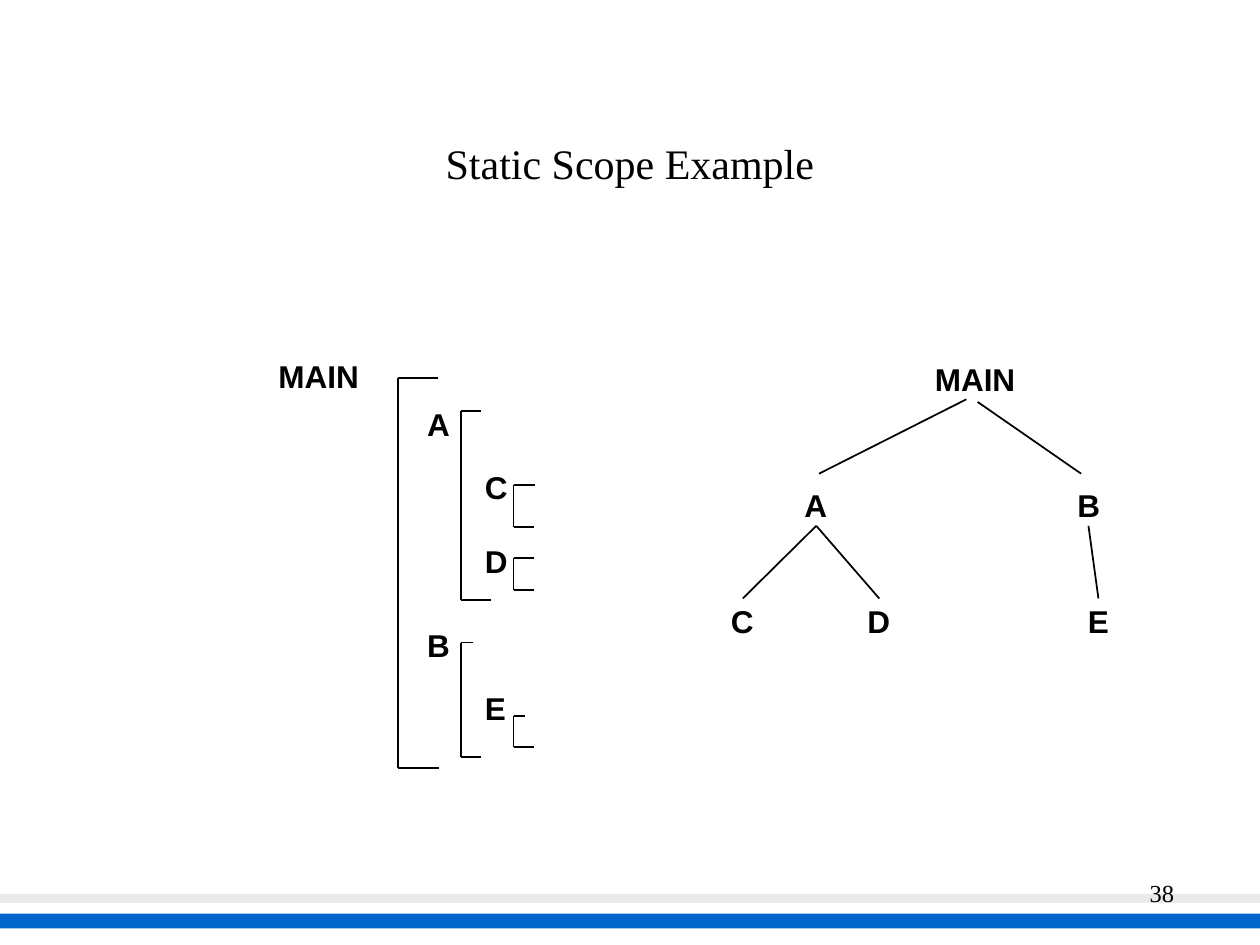
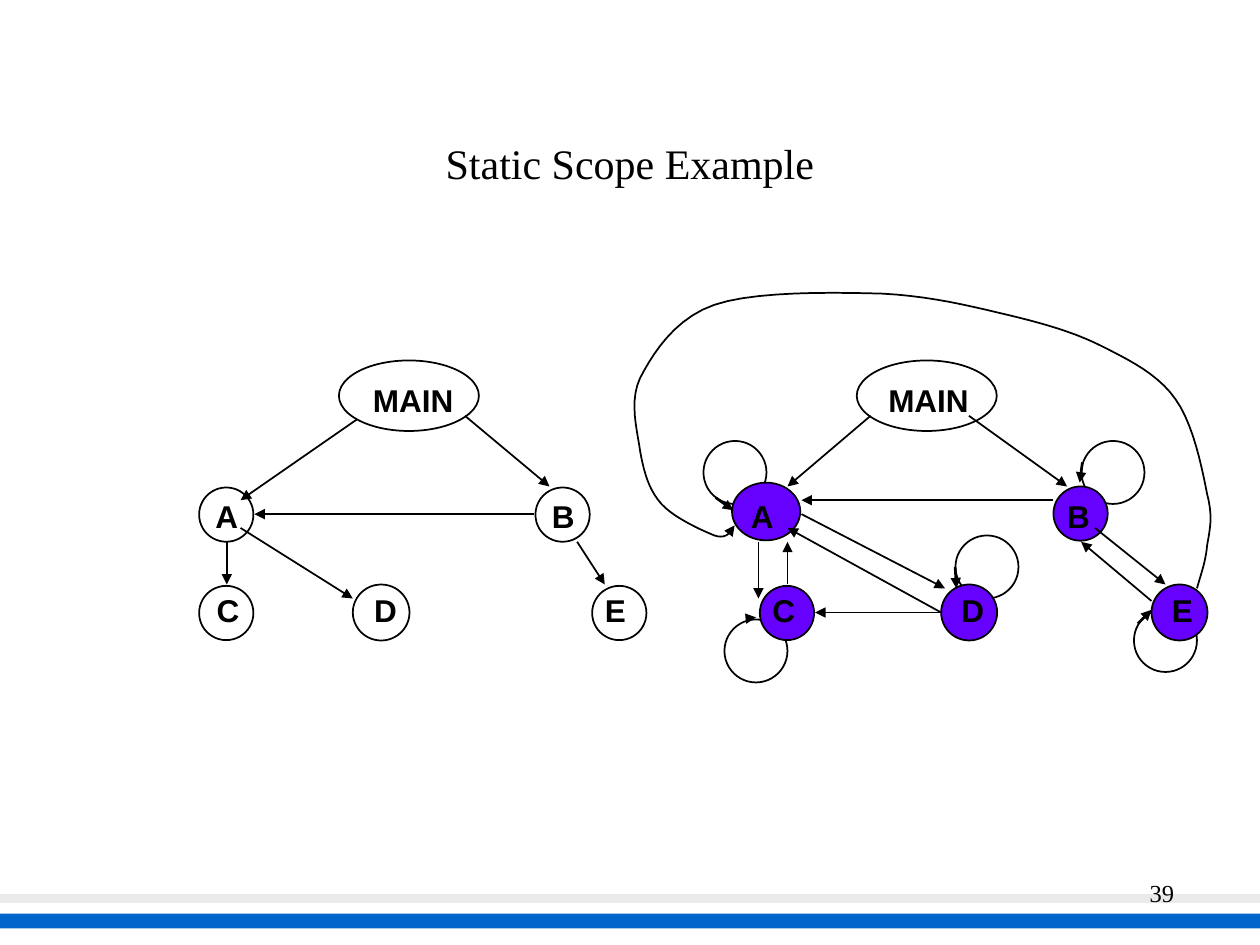
from lxml import etree
from pptx import Presentation
from pptx.dml.color import RGBColor
from pptx.enum.shapes import MSO_CONNECTOR, MSO_SHAPE
from pptx.enum.text import MSO_ANCHOR, MSO_AUTO_SIZE, PP_ALIGN
from pptx.oxml.ns import qn
from pptx.util import Pt

STRAIGHT = MSO_CONNECTOR.STRAIGHT
OVAL = MSO_SHAPE.OVAL
RECTANGLE = MSO_SHAPE.RECTANGLE
TOP, MIDDLE = MSO_ANCHOR.TOP, MSO_ANCHOR.MIDDLE
LEFT, CENTER, RIGHT = PP_ALIGN.LEFT, PP_ALIGN.CENTER, PP_ALIGN.RIGHT
FIT_SHAPE, NO_FIT = MSO_AUTO_SIZE.SHAPE_TO_FIT_TEXT, MSO_AUTO_SIZE.NONE
TOP_SIDE, BOTTOM_SIDE = 0, 2

COLORS = {"ink": "000000", "paper": "FFFFFF", "blue": "0066CC",
          "gray": "EAEAEA", "violet": "6600FF"}
RGB = {name: RGBColor.from_string(value) for name, value in COLORS.items()}
WIDE_INSET = (7.2, 3.6)


def add_text(slide, text, left, top, width, height, font="Arial", size=18,
             bold=True, align=LEFT, anchor=TOP, inset=(3.6, 1.8),
             wrap=False, fit=FIT_SHAPE, fill=None):
    shape = slide.shapes.add_textbox(Pt(left), Pt(top), Pt(width), Pt(height))
    if fill:
        shape.fill.solid()
        shape.fill.fore_color.rgb = RGB[fill]
    frame = shape.text_frame
    frame.word_wrap = wrap
    frame.auto_size = fit
    frame.vertical_anchor = anchor
    frame.margin_left = frame.margin_right = Pt(inset[0])
    frame.margin_top = frame.margin_bottom = Pt(inset[1])
    paragraph = frame.paragraphs[0]
    paragraph.alignment = align
    run = paragraph.add_run()
    run.text = text
    run.font.name = font
    run.font.size = Pt(size)
    run.font.bold = bold
    run.font.color.rgb = RGB["ink"]
    return shape


def add_line(slide, x1, y1, x2, y2, weight=1, arrow=False):
    connector = slide.shapes.add_connector(STRAIGHT, Pt(x1), Pt(y1), Pt(x2), Pt(y2))
    connector.line.color.rgb = RGB["ink"]
    connector.line.width = Pt(weight)
    properties = connector.element.spPr
    if arrow:
        etree.SubElement(properties.find(qn("a:ln")), qn("a:tailEnd"), type="triangle")
    etree.SubElement(properties, qn("a:effectLst"))
    return connector


presentation = Presentation()
presentation.slide_width = Pt(720)
presentation.slide_height = Pt(540)
blank_layout = presentation.slide_layouts[6]

slides = []
for number in (38, 39):
    slide = presentation.slides.add_slide(blank_layout)
    for top, height, color in ((522, 8.6, "blue"), (511, 5, "gray")):
        band = slide.shapes.add_shape(RECTANGLE, 0, Pt(top), Pt(720), Pt(height))
        band.shadow.inherit = False
        band.fill.solid()
        band.fill.fore_color.rgb = RGB[color]
        band.line.fill.background()
    add_text(slide, str(number), 528, 498, 150, 36, font="Times New Roman", size=14,
             bold=False, align=RIGHT, inset=WIDE_INSET, wrap=True, fit=NO_FIT)
    add_text(slide, "Static Scope Example", 54, 48, 612, 90, font="Times New Roman",
             size=24, bold=False, align=CENTER, anchor=MIDDLE, inset=WIDE_INSET,
             wrap=True, fit=NO_FIT)
    slides.append(slide)
nesting_slide, calls_slide = slides

scope_brackets = [
    (227.5, 216, 439, 23, 23.5),
    (263.5, 234.7, 342.7, 11.5, 17.3),
    (293.5, 277.2, 301, 12.4, 11.5),
    (293.5, 319, 337, 11.5, 11.5),
    (263.5, 367.2, 432.7, 6.5, 11.5),
    (293.5, 409, 427, 6.5, 11.5),
]
for x, top, bottom, top_arm, bottom_arm in scope_brackets:
    add_line(nesting_slide, x, top, x + top_arm, top)
    add_line(nesting_slide, x, top, x, bottom)
    add_line(nesting_slide, x, bottom, x + bottom_arm, bottom)

add_text(nesting_slide, "MAIN", 155.5, 202.3, 64, 24.5, wrap=True)
scope_labels = [("A", 237, 228), ("C", 270, 264), ("D", 270, 306),
                ("B", 237, 354), ("E", 270, 390)]
for name, left, top in scope_labels:
    add_text(nesting_slide, name, left, top, 27, 29, inset=WIDE_INSET)

tree_nodes = [("MAIN", 530.6, 204, 62), ("A", 456, 276, 20.9), ("B", 612, 276, 20),
              ("C", 414, 342, 20.9), ("D", 492, 342, 20.9), ("E", 618, 342, 19.4)]
tree = {name: add_text(nesting_slide, name, left, top, width, 24.5, fill="paper")
        for name, left, top, width in tree_nodes}
add_line(nesting_slide, 552.2, 228.2, 468, 270.7)
add_line(nesting_slide, 558.7, 229.7, 617.8, 270.7)
for parent, child in (("A", "C"), ("A", "D"), ("B", "E")):
    branch = add_line(nesting_slide, 0, 0, 0, 0)
    branch.begin_connect(tree[parent], BOTTOM_SIDE)
    branch.end_connect(tree[child], TOP_SIDE)

self_loops = [(546, 306), (402, 252), (618, 252), (414, 354), (648, 348)]
ovals = [(left, top, 36, 36, None) for left, top in self_loops]
ovals += [
    (193.7, 206, 80, 40.3, None), (113.8, 278.6, 31, 31, None),
    (306, 278.6, 31, 31, None), (113.8, 334.8, 31, 31, None),
    (201.6, 334, 32.4, 32, None), (338.4, 334.8, 31, 31, None),
    (489.6, 206, 80, 40.3, None), (418.3, 275.8, 39, 33, "violet"),
    (602, 278, 31, 31, "violet"), (434.2, 334.8, 31, 31, "violet"),
    (537.8, 334, 32, 32, "violet"), (658, 334, 32, 32, "violet"),
]
for left, top, width, height, fill in ovals:
    oval = calls_slide.shapes.add_shape(OVAL, Pt(left), Pt(top), Pt(width), Pt(height))
    oval.shadow.inherit = False
    oval.line.color.rgb = RGB["ink"]
    oval.line.width = Pt(1)
    if fill:
        oval.fill.solid()
        oval.fill.fore_color.rgb = RGB[fill]
    else:
        oval.fill.background()

call_arrows = [
    (203.8, 239.8, 137.5, 285.8), (305.3, 293.8, 145.4, 293.8),
    (129.6, 309.6, 129.6, 334), (137.5, 301.7, 201.6, 342),
    (265.7, 237.6, 314, 278), (329.8, 309.6, 345.6, 334),
    (497.5, 237.6, 450, 278), (553.7, 237.6, 609.8, 278),
    (450, 334, 450, 309.6), (433.4, 309.6, 433.4, 342),
    (625.7, 301.7, 666, 334), (658, 343.4, 617.8, 309.6),
    (602, 285.8, 458, 285.8), (458, 293.8, 540, 336.2),
    (537.8, 350, 450, 301.7), (537.8, 350, 465.8, 350),
]
for ends in call_arrows:
    add_line(calls_slide, *ends, arrow=True)

loop_arrows = [
    (409, 284.4, 419, 291.6), (426.2, 353.5, 432, 352.8),
    (545.8, 324, 546.5, 336.2), (650.2, 356.4, 658, 348.5),
    (618.5, 264.2, 617, 275.8),
]
for ends in loop_arrows:
    add_line(calls_slide, *ends, weight=1.5, arrow=True)

curve_start = (684, 336.2)
curve_segments = [
    ((686.2, 328.3), (689, 321), (689.8, 311.8)),
    ((691.2, 303), (693.4, 296), (689.8, 282.2)),
    ((687, 267.8), (681.8, 242), (671.8, 228.2)),
    ((661.7, 213.8), (645.8, 206), (630, 198)),
    ((614.2, 190), (597, 185), (576, 180)),
    ((555, 175), (532, 169.2), (504, 167.8)),
    ((476, 167), (431.3, 166.3), (408.2, 174.2)),
    ((385.2, 182.2), (373, 202.3), (365.8, 216)),
    ((359.3, 229.7), (364.3, 246.2), (365.8, 257.8)),
    ((368, 270), (370.8, 280), (378, 288)),
    ((385.2, 296), (401, 303), (408.2, 306)),
    ((414.7, 308.2), (417.6, 304.6), (419.8, 300.2)),
]
STEPS = 10
curve_points = []
anchor_point = curve_start
for control_1, control_2, end in curve_segments:
    for step in range(1, STEPS + 1):
        t = step / STEPS
        curve_points.append(tuple(
            (1 - t) ** 3 * a + 3 * (1 - t) ** 2 * t * b + 3 * (1 - t) * t ** 2 * c + t ** 3 * d
            for a, b, c, d in zip(anchor_point, control_1, control_2, end)))
    anchor_point = end
builder = calls_slide.shapes.build_freeform(
    *(Pt(value) for value in curve_start), scale=1.0)
builder.add_line_segments([(Pt(x), Pt(y)) for x, y in curve_points], close=False)
call_curve = builder.convert_to_shape()
call_curve.shadow.inherit = False
call_curve.fill.background()
call_curve.line.color.rgb = RGB["ink"]
call_curve.line.width = Pt(1)
etree.SubElement(call_curve.element.spPr.find(qn("a:ln")), qn("a:tailEnd"), type="triangle")

label_rows = [
    (216, 53.3, [("MAIN", 209.5), ("MAIN", 504)]),
    (282.2, 20.9, [("A", 119.5), ("B", 311.8), ("A", 425.5), ("B", 606.2)]),
    (336.2, 20.9, [("C", 120.2), ("D", 210.2), ("E", 342), ("C", 437.8),
                   ("D", 545.8), ("E", 666)]),
]
for top, width, labels in label_rows:
    for name, left in labels:
        add_text(calls_slide, name, left, top, width, 24.5)

presentation.save("out.pptx")
